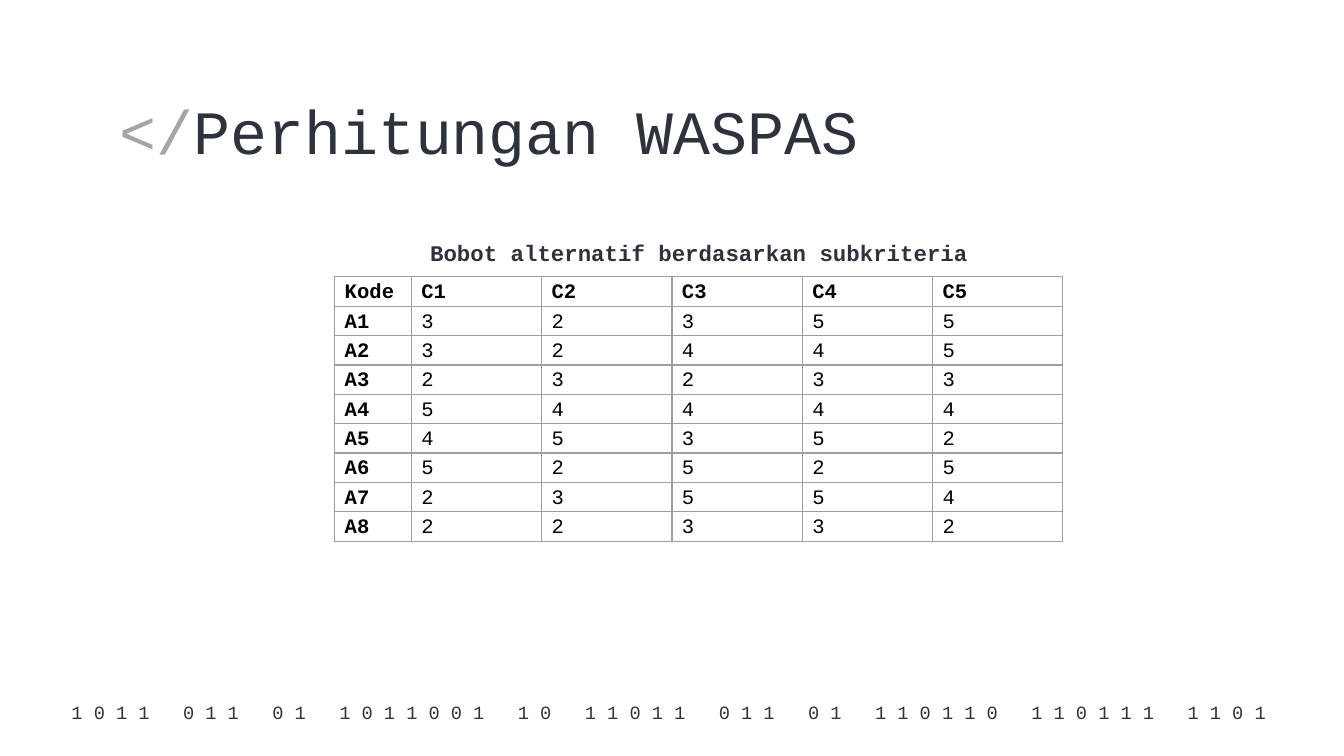
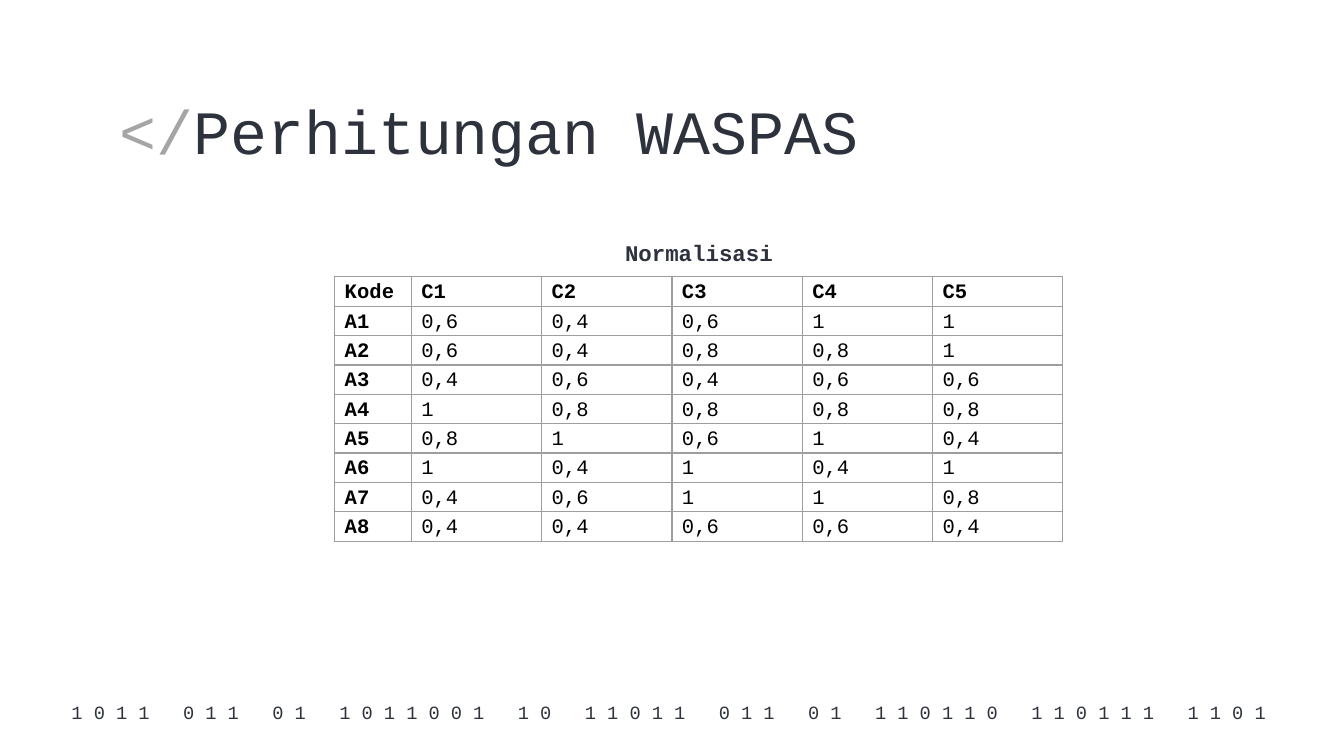
from dataclasses import dataclass

from lxml import etree
from pptx import Presentation
from pptx.dml.color import RGBColor
from pptx.enum.text import MSO_ANCHOR, PP_ALIGN
from pptx.oxml.ns import qn
from pptx.util import Inches, Pt


@dataclass(frozen=True)
class Theme:
    font: str = "Courier New"
    background: str = "FFFFFF"
    ink: str = "2D323C"
    accent: str = "A5A5A5"
    cell_text: str = "000000"
    border: str = "9E9E9E"
    border_pt: float = 0.75
    title_pt: int = 33
    caption_pt: int = 12
    cell_pt: int = 11
    footer_pt: int = 10


THEME = Theme()

# Boxes: left, top, width, height in inches
TITLE_BOX = (0.79, 0.59, 8.43, 1.09)
CONTENT_BOX = (2.49, 1.73, 5.42, 2.3)
FOOTER_BOX = (0.38, 5.2, 9.27, 0.2)

BIT_GROUPS = "1011 011 01 1011001 10 11011 011 01 110110 110111 1101".split()
CRITERIA = ["C1", "C2", "C3", "C4", "C5"]
WEIGHTS = {
    "A1": (3, 2, 3, 5, 5),
    "A2": (3, 2, 4, 4, 5),
    "A3": (2, 3, 2, 3, 3),
    "A4": (5, 4, 4, 4, 4),
    "A5": (4, 5, 3, 5, 2),
    "A6": (5, 2, 5, 2, 5),
    "A7": (2, 3, 5, 5, 4),
    "A8": (2, 2, 3, 3, 2),
}


def normalise(weights):
    """Divide each weight by the largest one of its criterion."""
    peaks = [max(column) for column in zip(*weights.values())]
    return {code: [v / peak for v, peak in zip(row, peaks)]
            for code, row in weights.items()}


def format_run(r, size, color, bold=False):
    r.font.name = THEME.font
    r.font.size = Pt(size)
    r.font.bold = bold
    r.font.color.rgb = RGBColor.from_string(color)


def add_text_frame(slide, box, insets, anchor):
    tf = slide.shapes.add_textbox(*map(Inches, box)).text_frame
    tf.word_wrap = True
    tf.vertical_anchor = anchor
    (tf.margin_left, tf.margin_top,
     tf.margin_right, tf.margin_bottom) = map(Inches, insets)
    return tf


def add_centered_line(slide, box, text, size, insets, bold=False):
    tf = add_text_frame(slide, box, insets, MSO_ANCHOR.MIDDLE)
    p = tf.paragraphs[0]
    p.text = text
    p.alignment = PP_ALIGN.CENTER
    format_run(p.runs[0], size, THEME.ink, bold)


def add_title(slide, box, title):
    tf = add_text_frame(slide, box, (0.1,) * 4, MSO_ANCHOR.TOP)
    p = tf.paragraphs[0]
    for text, color in (("</", THEME.accent), (title, THEME.ink)):
        r = p.add_run()
        r.text = text
        format_run(r, THEME.title_pt, color)


def add_footer(slide, box):
    # Every bit is followed by a space, groups by two more
    groups = ["".join(f"{bit} " for bit in group) for group in BIT_GROUPS]
    add_centered_line(slide, box, "  ".join(groups), THEME.footer_pt, (0.1,) * 4)


def set_borders(cell):
    tc_pr = cell._tc.get_or_add_tcPr()
    for side in ("a:lnL", "a:lnR", "a:lnT", "a:lnB"):
        ln = etree.SubElement(tc_pr, qn(side), w=str(Pt(THEME.border_pt)))
        fill = etree.SubElement(ln, qn("a:solidFill"))
        etree.SubElement(fill, qn("a:srgbClr"), val=THEME.border)


def fill_cell(cell, text, bold):
    cell.margin_left = cell.margin_right = Pt(5.4)
    cell.margin_top = cell.margin_bottom = 0
    cell.vertical_anchor = MSO_ANCHOR.MIDDLE
    set_borders(cell)
    cell.fill.background()
    p = cell.text_frame.paragraphs[0]
    p.text = text
    p.line_spacing = 1.15
    format_run(p.runs[0], THEME.cell_pt, THEME.cell_text, bold)


def add_score_table(slide, box, scores):
    rows = [["Kode", *CRITERIA]]
    rows += [[code, *(f"{v:g}".replace(".", ",") for v in values)]
             for code, values in scores.items()]
    left, top, width, height = box
    table = slide.shapes.add_table(
        len(rows), len(rows[0]), *map(Inches, box)).table
    table.first_row = table.horz_banding = False

    # Narrow code column, equal criterion columns and rows
    code_width = 0.57
    for i, column in enumerate(table.columns):
        column.width = Inches((width - code_width) / len(CRITERIA) if i else code_width)
    for row in table.rows:
        row.height = Inches(height / len(rows))

    for i, row in enumerate(rows):
        for j, text in enumerate(row):
            fill_cell(table.cell(i, j), text, bold=i == 0 or j == 0)


def add_captioned_table(slide, box, caption, scores):
    left, top, width, height = box
    caption_height, table_offset = 0.3, 0.33
    add_score_table(
        slide, (left, top + table_offset, width, height - table_offset), scores)
    add_centered_line(slide, (left, top, width, caption_height), caption,
                      THEME.caption_pt, (0.1, 0.05, 0.1, 0.05), bold=True)


def add_calculation_slide(prs, caption, scores):
    slide = prs.slides.add_slide(prs.slide_layouts[6])
    fill = slide.background.fill
    fill.solid()
    fill.fore_color.rgb = RGBColor.from_string(THEME.background)
    add_footer(slide, FOOTER_BOX)
    add_title(slide, TITLE_BOX, "Perhitungan WASPAS")
    add_captioned_table(slide, CONTENT_BOX, caption, scores)


def main():
    prs = Presentation()
    # Widescreen, 16:9
    prs.slide_width = Inches(10)
    prs.slide_height = prs.slide_width * 9 // 16
    add_calculation_slide(prs, "Bobot alternatif berdasarkan subkriteria", WEIGHTS)
    add_calculation_slide(prs, "Normalisasi", normalise(WEIGHTS))
    prs.save("out.pptx")


if __name__ == "__main__":
    main()
